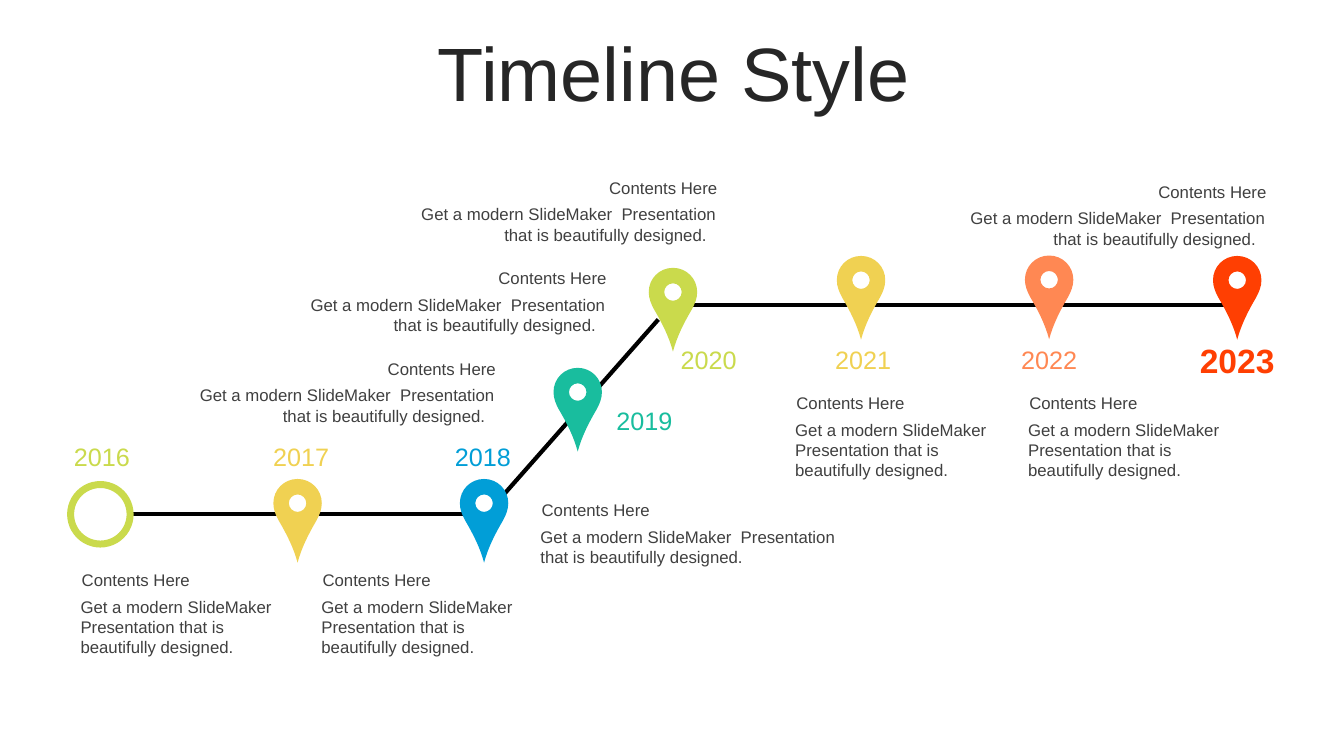
from lxml import etree
from pptx import Presentation
from pptx.dml.color import RGBColor
from pptx.enum.shapes import MSO_CONNECTOR, MSO_SHAPE
from pptx.enum.text import MSO_ANCHOR, PP_ALIGN
from pptx.oxml.ns import qn
from pptx.util import Cm, Pt

LEFT, CENTER, RIGHT = PP_ALIGN.LEFT, PP_ALIGN.CENTER, PP_ALIGN.RIGHT
TOP, MIDDLE = MSO_ANCHOR.TOP, MSO_ANCHOR.MIDDLE
STRAIGHT, OVAL = MSO_CONNECTOR.STRAIGHT, MSO_SHAPE.OVAL

BLACK = RGBColor(0x00, 0x00, 0x00)
WHITE = RGBColor(0xFF, 0xFF, 0xFF)
TITLE_GREY = RGBColor(0x26, 0x26, 0x26)
TEXT_GREY = RGBColor(0x40, 0x40, 0x40)
LIME = RGBColor(0xCA, 0xDA, 0x4C)
YELLOW = RGBColor(0xF0, 0xD1, 0x52)
BLUE = RGBColor(0x01, 0x9E, 0xD7)
TEAL = RGBColor(0x19, 0xBD, 0x9E)
ORANGE = RGBColor(0xFF, 0x88, 0x53)
RED = RGBColor(0xFF, 0x3F, 0x02)

prs = Presentation()
prs.slide_width, prs.slide_height = Cm(33.87), Cm(19.05)
slide = prs.slides.add_slide(prs.slide_layouts[6])
shapes = slide.shapes


def add_text(text, *, x, y, width, height, size=12, color=TEXT_GREY,
             align=LEFT, anchor=TOP, bold=False, line_spacing=1.0):
    frame = shapes.add_textbox(Cm(x), Cm(y), Cm(width), Cm(height)).text_frame
    frame.word_wrap = True
    frame.vertical_anchor = anchor
    paragraph = frame.paragraphs[0]
    paragraph.alignment = align
    paragraph.line_spacing = line_spacing
    run = paragraph.add_run()
    run.text = text
    run.font.name = "Arial"
    run.font.size = Pt(size)
    run.font.bold = bold
    run.font.color.rgb = color


# Title
add_text("Timeline Style", x=0.9, y=0.94, width=32.16, height=2.01, size=54,
         color=TITLE_GREY, align=CENTER, anchor=MIDDLE, line_spacing=0.9)

# Road
for x1, y1, x2, y2 in ((3.28, 12.95, 11.68, 12.95),
                       (16.94, 7.68, 31.17, 7.68),
                       (12.6, 12.57, 16.59, 8.05)):
    road = shapes.add_connector(STRAIGHT, Cm(x1), Cm(y1), Cm(x2), Cm(y2))
    road.line.color.rgb = BLACK
    road.line.width = Pt(3)
    etree.SubElement(road.line._get_or_add_ln().getparent(), qn("a:effectLst"))

# Starting ring
ring = shapes.add_shape(OVAL, Cm(1.78), Cm(12.21), Cm(1.5), Cm(1.5))
ring.shadow.inherit = False
ring.fill.solid()
ring.fill.fore_color.rgb = WHITE
ring.line.color.rgb = LIME
ring.line.width = Pt(5)

# Years: centre, top
for year, x, y, color in (("2016", 2.57, 11, LIME), ("2017", 7.59, 11, YELLOW),
                          ("2018", 12.17, 11, BLUE), ("2019", 16.24, 10.08, TEAL),
                          ("2020", 17.86, 8.56, LIME), ("2021", 21.75, 8.56, YELLOW),
                          ("2022", 26.44, 8.56, ORANGE), ("2023", 31.18, 8.43, RED)):
    is_last = year == "2023"
    add_text(year, x=x - 1.31, y=y, width=2.62, height=1.27 if is_last else 1.02,
             size=24 if is_last else 18, color=color, align=CENTER, bold=is_last)

# Contents: a heading with its description below
NARROW, WIDE = (5.49, 1.8), (8.51, 1.28)
NARROW_TEXT = "Get a modern SlideMaker  Presentation that is  beautifully designed."
WIDE_TEXT = "Get a modern SlideMaker  Presentation that is beautifully designed."
contents = [(x, y, NARROW, LEFT, NARROW_TEXT)
            for x, y in ((1.81, 14.24), (7.88, 14.24), (19.82, 9.78), (25.69, 9.78))]
contents.append((13.4, 12.48, WIDE, LEFT, WIDE_TEXT))
contents += [(9.82 - 2.79 * i, 4.35 + 2.28 * i, WIDE, RIGHT, WIDE_TEXT + "  ")
             for i in range(3)]
contents.append((23.66, 4.45, WIDE, RIGHT, WIDE_TEXT + "  "))
for x, y, (width, height), align, description in contents:
    add_text(description, x=x - 0.03, y=y + 0.67, width=width, height=height, align=align)
    add_text("Contents Here", x=x, y=y, width=width, height=0.76, align=align)

# Pin around the centre of its head: a start, then three points for each curve
LEFT_HALF = [(0, 1.5), (-0.1, 1.12), (-0.28, 0.77), (-0.48, 0.43),
             (-0.55, 0.3), (-0.61, 0.16), (-0.61, 0),
             (-0.61, -0.34), (-0.34, -0.61), (0, -0.61)]
QUARTER = [(0.22, 0), (0.22, 0.12), (0.12, 0.22)]
outline = LEFT_HALF + [(-dx, dy) for dx, dy in LEFT_HALF[-2::-1]]
hole = list(QUARTER)
for turn in range(3):
    hole += [(-dy, dx) for dx, dy in hole[-3:]]
hole.append(hole[0])

# Pins: centre of the head
for x, y, color in ((31.18, 7.06, RED), (26.44, 7.05, ORANGE), (21.7, 7.06, YELLOW),
                    (16.96, 7.36, LIME), (14.56, 9.88, TEAL), (12.2, 12.68, BLUE),
                    (7.5, 12.68, YELLOW)):
    body, eye = [[(Cm(x + dx), Cm(y + dy)) for dx, dy in part] for part in (outline, hole)]
    builder = shapes.build_freeform(*body[0])
    builder.add_line_segments(body[1:], close=True)
    builder.move_to(*eye[0])
    builder.add_line_segments(eye[1:], close=True)
    pin = builder.convert_to_shape()
    pin.shadow.inherit = False
    pin.fill.solid()
    pin.fill.fore_color.rgb = color
    pin.line.fill.background()
    # Join every three points into one curve
    segments = list(pin._element.iter(qn("a:lnTo")))
    for curve, middle, end in zip(segments[::3], segments[1::3], segments[2::3]):
        curve.tag = qn("a:cubicBezTo")
        for segment in (middle, end):
            curve.append(segment[0])
            segment.getparent().remove(segment)

prs.save("out.pptx")
